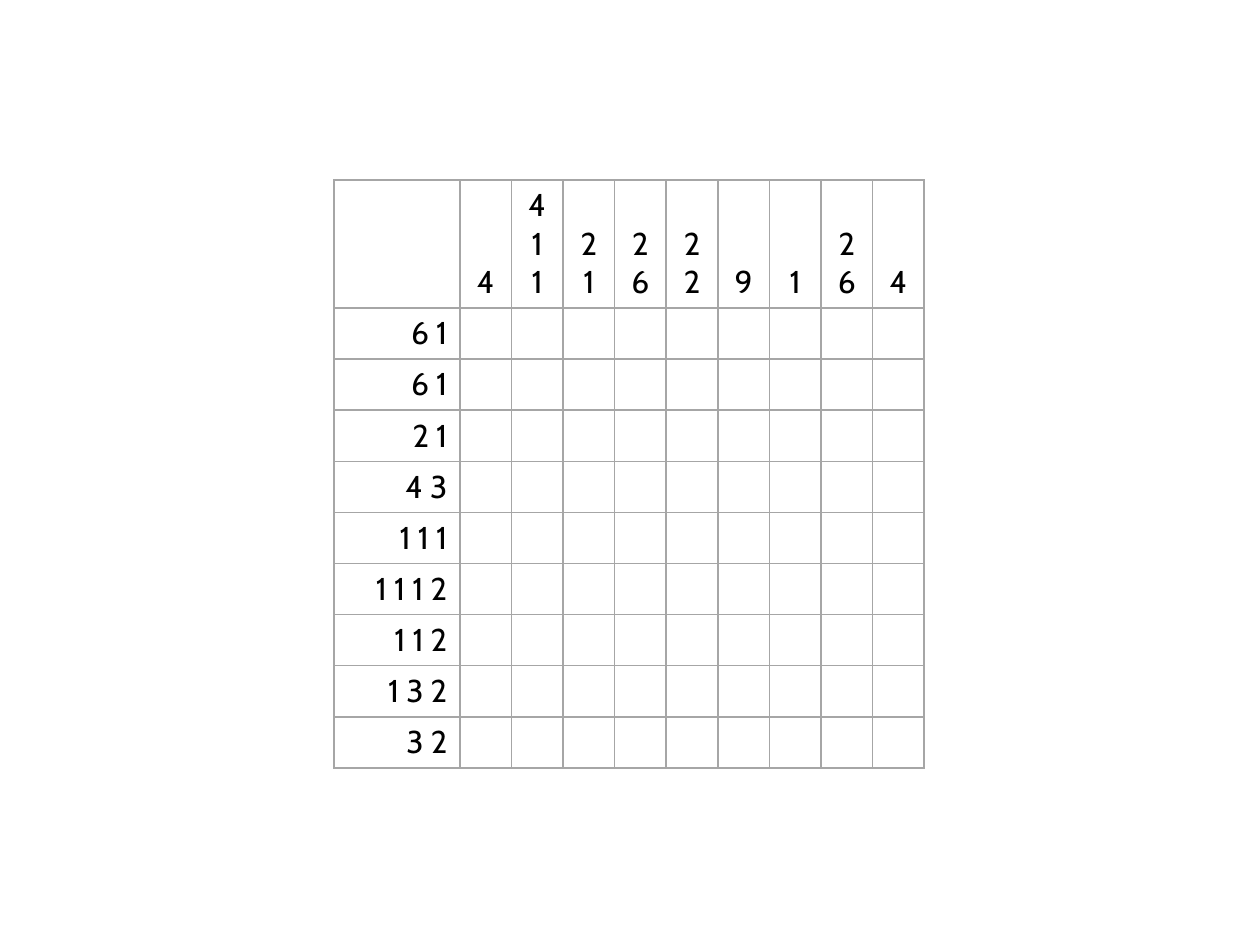
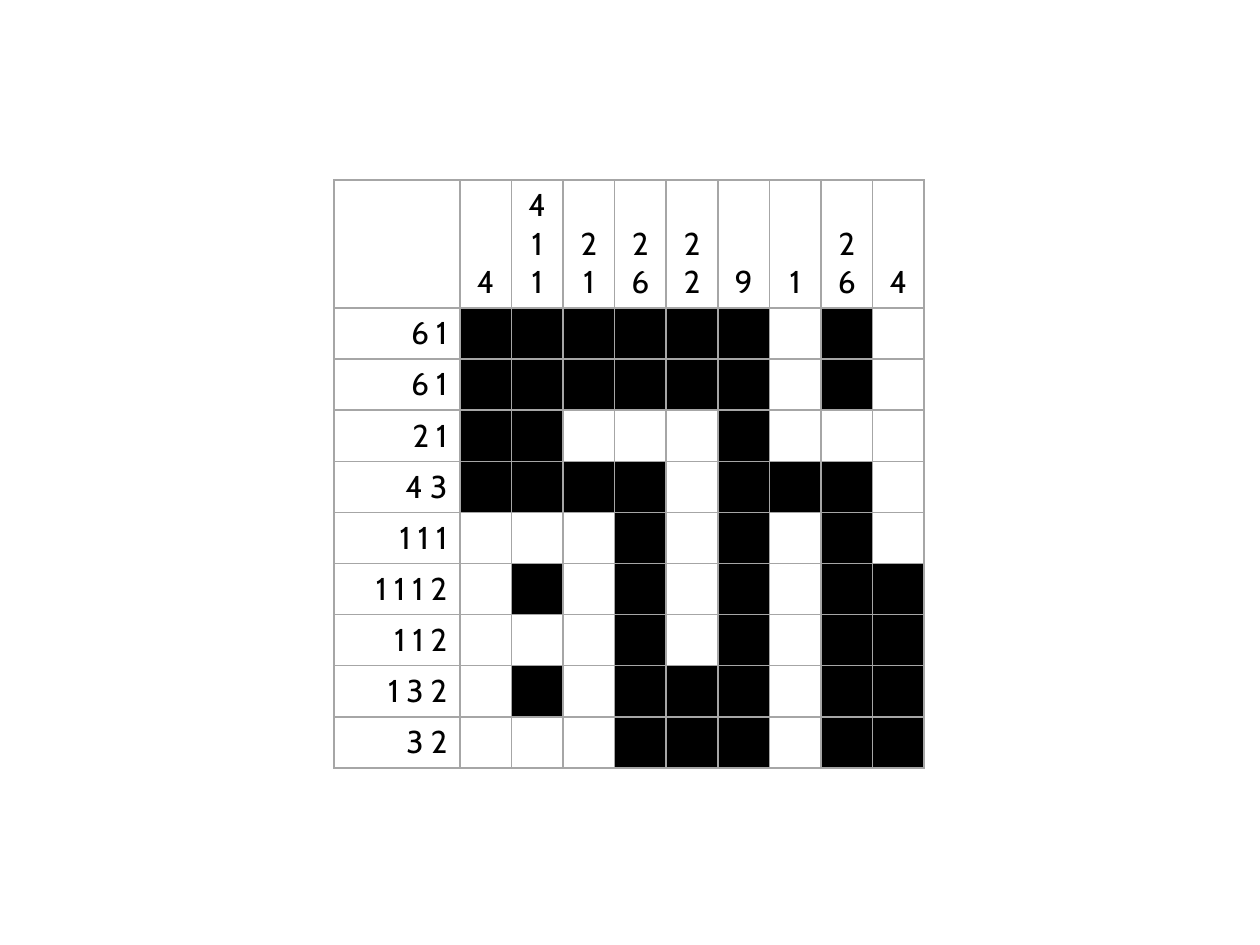
from lxml.etree import SubElement
from pptx import Presentation
from pptx.dml.color import RGBColor
from pptx.enum.text import MSO_ANCHOR, PP_ALIGN
from pptx.oxml.ns import qn
from pptx.util import Cm, Pt

FONT = "Cabin"
BLACK, WHITE, GRID_GREY = "000000", "FFFFFF", "A6A6A6"
CLUE_SIZE = Cm(2.54)
CELL_WIDTH, CELL_HEIGHT = Cm(1.04), Cm(1.03)
LEFT, TOP = Cm(6.73), Cm(3.63)

COLUMN_CLUES = ["4", "4 1 1", "2 1", "2 6", "2 2", "9", "1", "2 6", "4"]
ROW_CLUES = ["6 1", "6 1", "2 1", "4 3", "1 1 1", "1 1 1 2", "1 1 2", "1 3 2", "3 2"]
SOLUTION = [
    "######.#.",
    "######.#.",
    "##...#...",
    "####.###.",
    "...#.#.#.",
    ".#.#.#.##",
    "...#.#.##",
    ".#.###.##",
    "...###.##",
]
UNSOLVED = ["." * len(COLUMN_CLUES)] * len(ROW_CLUES)


def color(hex_string):
    """Turn a hex string into a colour."""
    return RGBColor.from_string(hex_string)


def add_borders(cell):
    """Draw a thin grey line on all four sides of a cell."""
    properties = cell._tc.get_or_add_tcPr()
    for side in ("a:lnL", "a:lnR", "a:lnT", "a:lnB"):
        line = SubElement(properties, qn(side), w=str(Pt(1)))
        fill = SubElement(line, qn("a:solidFill"))
        SubElement(fill, qn("a:srgbClr"), val=GRID_GREY)


def fill_cell(cell, hex_string):
    """Give a cell a solid colour."""
    cell.fill.solid()
    cell.fill.fore_color.rgb = color(hex_string)


def write_clue(cell, clue, alignment, anchor):
    """Write the run lengths of one row or column."""
    cell.vertical_anchor = anchor
    para = cell.text_frame.paragraphs[0]
    para.alignment = alignment
    span = para.add_run()
    span.text = clue
    span.font.name = FONT
    span.font.size = Pt(18)
    span.font.bold = False
    span.font.color.rgb = color(BLACK)


def add_grid(page):
    """Add the empty bordered table and return it."""
    row_count, column_count = len(ROW_CLUES), len(COLUMN_CLUES)
    table = page.shapes.add_table(
        row_count + 1, column_count + 1, LEFT, TOP,
        CLUE_SIZE + column_count * CELL_WIDTH,
        CLUE_SIZE + row_count * CELL_HEIGHT,
    ).table
    table.first_row = table.horz_banding = False
    for index, column in enumerate(table.columns):
        column.width = CELL_WIDTH if index else CLUE_SIZE
    for index, row in enumerate(table.rows):
        row.height = CELL_HEIGHT if index else CLUE_SIZE
    for cell in table.iter_cells():
        add_borders(cell)
        fill_cell(cell, WHITE)
    return table


def add_puzzle(page, pattern):
    """Add a picture-logic puzzle with the marked squares black."""
    table = add_grid(page)
    for column, clue in enumerate(COLUMN_CLUES, 1):
        write_clue(table.cell(0, column), clue, PP_ALIGN.CENTER, MSO_ANCHOR.BOTTOM)
    for row, (clue, marks) in enumerate(zip(ROW_CLUES, pattern), 1):
        write_clue(table.cell(row, 0), clue, PP_ALIGN.RIGHT, MSO_ANCHOR.TOP)
        for column, mark in enumerate(marks, 1):
            if mark == "#":
                fill_cell(table.cell(row, column), BLACK)


def main():
    """Build the puzzle and its solution."""
    deck = Presentation()
    deck.slide_width, deck.slide_height = Cm(25.4), Cm(19.05)
    for pattern in (UNSOLVED, SOLUTION):
        page = deck.slides.add_slide(deck.slide_layouts[6])
        add_puzzle(page, pattern)
    deck.save("out.pptx")


if __name__ == "__main__":
    main()
